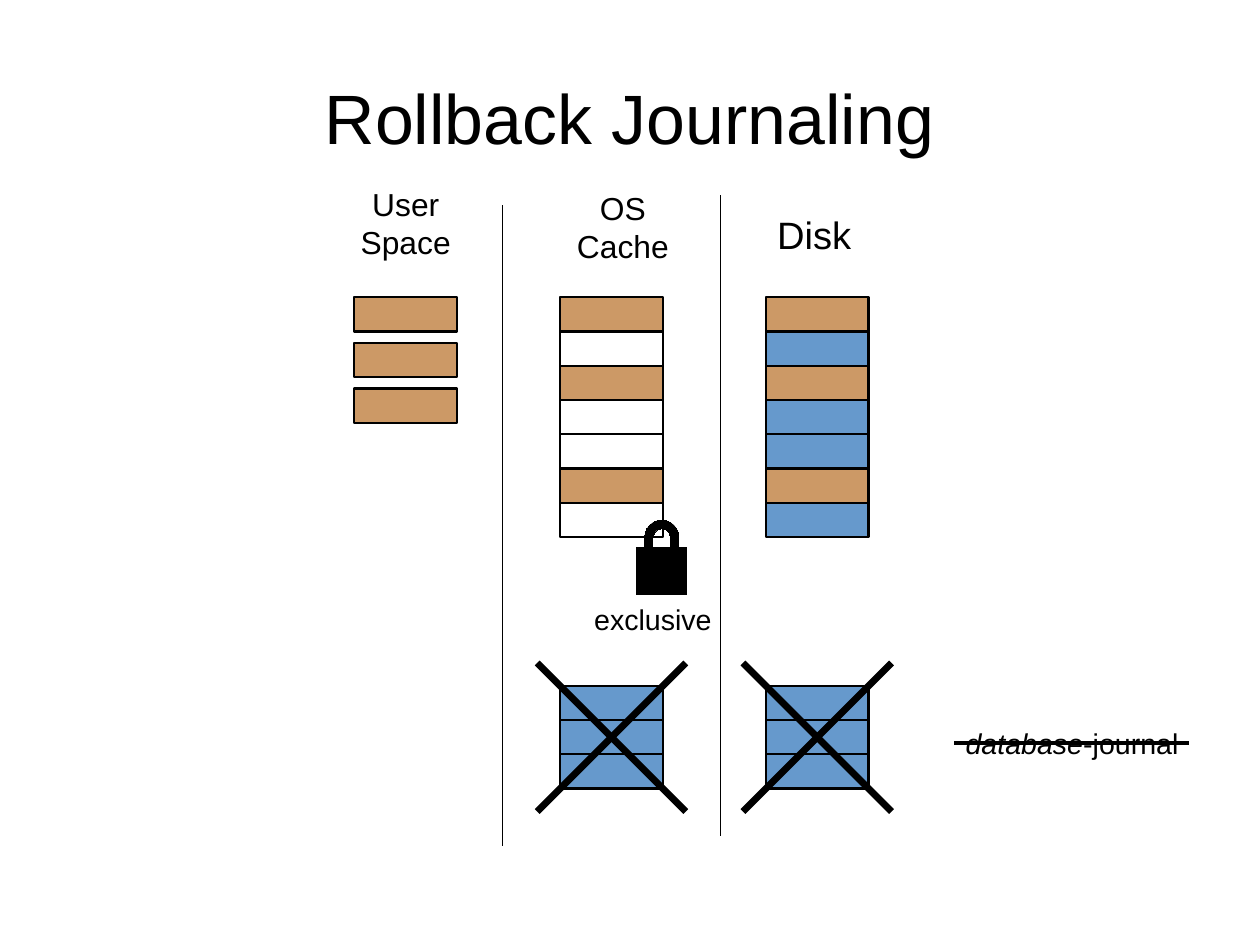
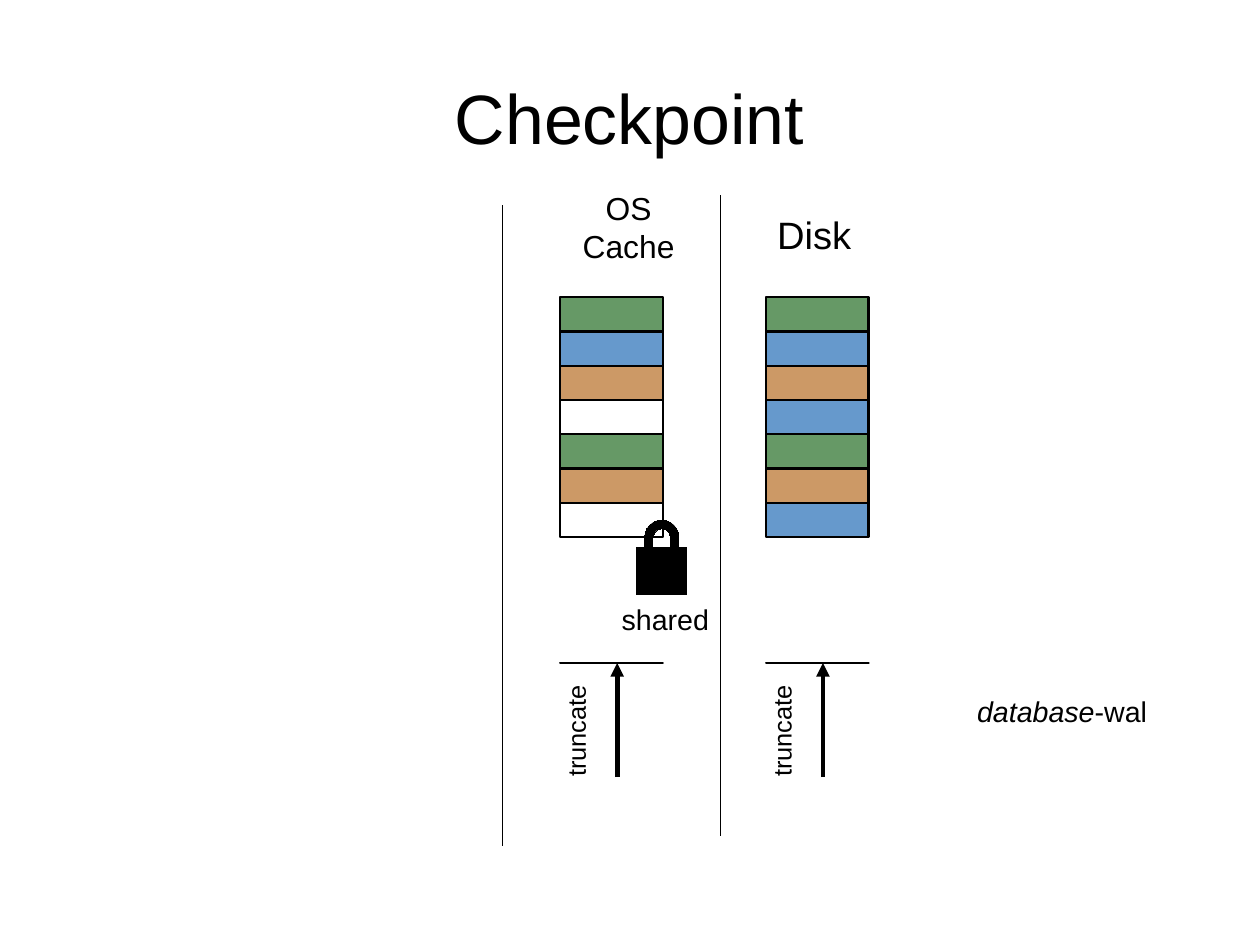
from dataclasses import dataclass

from lxml import etree
from pptx import Presentation
from pptx.dml.color import RGBColor
from pptx.enum.shapes import MSO_CONNECTOR, MSO_SHAPE
from pptx.enum.text import MSO_ANCHOR, MSO_AUTO_SIZE, PP_ALIGN
from pptx.oxml.ns import qn
from pptx.util import Inches, Pt


@dataclass(frozen=True)
class Theme:
    font: str = "Arial"
    ink: str = "000000"
    white: str = "FFFFFF"
    blue: str = "6699CC"
    orange: str = "CC9966"
    green: str = "669966"
    title_size: float = 44
    disk_size: float = 24
    heading_size: float = 20
    label_size: float = 18
    truncate_size: float = 16
    hairline: float = 0.01
    outline: float = 1.45
    arrow: float = 2.89
    cross: float = 4.31


# Shared grid: column positions and page dimensions, in inches
USER_X, CACHE_X, DISK_X = 3.1, 4.9, 6.7
PAGES_Y, JOURNAL_Y, LOG_Y = 2.6, 6.0, 5.8
PAGE_W, PAGE_H = 0.9, 0.3
CM_PER_INCH = 2.54


class Deck:
    def __init__(self, theme):
        self.theme = theme
        self.presentation = Presentation()
        # The slide measures 28 by 21 centimetres
        self.presentation.slide_width = Inches(28 / CM_PER_INCH)
        self.presentation.slide_height = Inches(21 / CM_PER_INCH)
        self.slide = None

    def color(self, name):
        return RGBColor.from_string(getattr(self.theme, name))

    def format_paragraph(self, paragraph, size, align):
        paragraph.alignment = align
        for run in paragraph.runs:
            run.font.name = self.theme.font
            run.font.size = Pt(size)
            run.font.color.rgb = self.color("ink")

    def add_slide(self, title):
        layout = self.presentation.slide_layouts.get_by_name("Title Only")
        self.slide = self.presentation.slides.add_slide(layout)
        heading = self.slide.shapes.title
        heading.left, heading.top = Inches(0.55), Inches(0.33)
        heading.width, heading.height = Inches(9.92), Inches(1.38)
        frame = heading.text_frame
        frame.margin_left = frame.margin_right = 0
        frame.margin_top = frame.margin_bottom = 0
        frame.vertical_anchor = MSO_ANCHOR.MIDDLE
        frame.text = title
        self.format_paragraph(frame.paragraphs[0], self.theme.title_size,
                              PP_ALIGN.CENTER)

    def label(self, text, x, y, width, height, size,
              align=PP_ALIGN.LEFT, wrap=False):
        box = self.slide.shapes.add_textbox(
            Inches(x), Inches(y), Inches(width), Inches(height))
        frame = box.text_frame
        frame.word_wrap = wrap
        frame.auto_size = MSO_AUTO_SIZE.SHAPE_TO_FIT_TEXT
        frame.text = text
        for paragraph in frame.paragraphs:
            self.format_paragraph(paragraph, size, align)
        return box

    def heading(self, text, x, y, width):
        self.label(text, x, y, width, 0.73, self.theme.heading_size,
                   PP_ALIGN.CENTER)

    def file_name(self, suffix, x, y, width, wrap=False):
        size = self.theme.label_size
        box = self.label("database", x, y, width, 0.38, size, wrap=wrap)
        paragraph = box.text_frame.paragraphs[0]
        paragraph.add_run().text = suffix
        self.format_paragraph(paragraph, size, PP_ALIGN.LEFT)
        paragraph.runs[0].font.italic = True

    def block(self, x, y, width, height, color, outline,
              preset=MSO_SHAPE.RECTANGLE):
        shape = self.slide.shapes.add_shape(
            preset, Inches(x), Inches(y), Inches(width), Inches(height))
        shape.shadow.inherit = False
        shape.fill.solid()
        shape.fill.fore_color.rgb = self.color(color)
        shape.line.color.rgb = self.color("ink")
        shape.line.width = Pt(outline)

    def pages(self, x, y, colors, pitch=PAGE_H):
        for row, color in enumerate(colors):
            self.block(x, y + row * pitch, PAGE_W, PAGE_H, color,
                       self.theme.outline)

    def line(self, x1, y1, x2, y2, weight, arrow=False):
        connector = self.slide.shapes.add_connector(
            MSO_CONNECTOR.STRAIGHT,
            Inches(x1), Inches(y1), Inches(x2), Inches(y2))
        connector.line.color.rgb = self.color("ink")
        connector.line.width = Pt(weight)
        if arrow:
            etree.SubElement(connector.line._get_or_add_ln(),
                             qn("a:tailEnd"), type="triangle")
        etree.SubElement(connector._element.spPr, qn("a:effectLst"))

    def columns(self, cache_width):
        self.line(4.4, 1.8, 4.4, 7.4, self.theme.hairline)
        self.line(6.3, 1.71, 6.3, 7.31, self.theme.hairline)
        self.heading("OS\nCache", CACHE_X, 1.6, cache_width)
        self.label("Disk", DISK_X, 1.8, 0.85, 0.47, self.theme.disk_size)

    def lock(self, state, x, width):
        hairline = self.theme.hairline
        self.block(5.64, 4.55, 0.3, 0.3, "ink", hairline, MSO_SHAPE.BLOCK_ARC)
        for leg_x in (5.64, 5.87):
            self.block(leg_x, 4.7, 0.07, 0.25, "ink", hairline)
        self.block(5.57, 4.79, 0.44, 0.41, "ink", hairline)
        self.label(state, x, 5.22, width, 0.38, self.theme.label_size)

    def cross_out(self, x, y, side=1.3):
        self.line(x, y, x + side, y + side, self.theme.cross)
        self.line(x + side, y, x, y + side, self.theme.cross)

    def truncated_log(self, x):
        # The log has shrunk to a page of no height
        self.block(x, LOG_Y, PAGE_W, 0, "orange", self.theme.outline)
        self.line(x + 0.5, LOG_Y + 1, x + 0.5, LOG_Y, self.theme.arrow,
                  arrow=True)
        caption = self.label("truncate", x - 0.37, 6.22, 1, 0.35,
                             self.theme.truncate_size)
        caption.rotation = 270


def rollback_journaling(deck):
    deck.add_slide("Rollback Journaling")
    deck.columns(cache_width=1.1)
    deck.heading("User\nSpace", 3, 1.57, 1.1)

    # Database pages: the changed ones are orange
    deck.pages(USER_X, PAGES_Y, ["orange"] * 3, pitch=0.4)
    for x, unchanged in ((CACHE_X, "white"), (DISK_X, "blue")):
        deck.pages(x, PAGES_Y, [
            "orange" if row in (0, 2, 5) else unchanged for row in range(7)])
    deck.lock("exclusive", 5.1, 1.24)

    # Deleted journal
    for x in (CACHE_X, DISK_X):
        deck.pages(x, JOURNAL_Y, ["blue"] * 3)
        deck.cross_out(x - 0.2, JOURNAL_Y - 0.2)
    deck.file_name("-journal", 8.35, 6.3, 2.06)
    deck.line(8.35, 6.5, 10.4, 6.5, deck.theme.arrow)


def checkpoint(deck):
    deck.add_slide("Checkpoint")
    deck.columns(cache_width=1.2)

    # Database pages
    deck.pages(CACHE_X, PAGES_Y, ["green", "blue", "orange", "white",
                                  "green", "orange", "white"])
    deck.pages(DISK_X, PAGES_Y, ["green", "blue", "orange", "blue",
                                 "green", "orange", "blue"])
    deck.lock("shared", 5.34, 0.98)

    # Truncated write-ahead log
    for x in (CACHE_X, DISK_X):
        deck.truncated_log(x)
    deck.file_name("-wal", 8.45, 6.02, 2.05, wrap=True)


def main():
    deck = Deck(Theme())
    rollback_journaling(deck)
    checkpoint(deck)
    deck.presentation.save("out.pptx")


if __name__ == "__main__":
    main()
